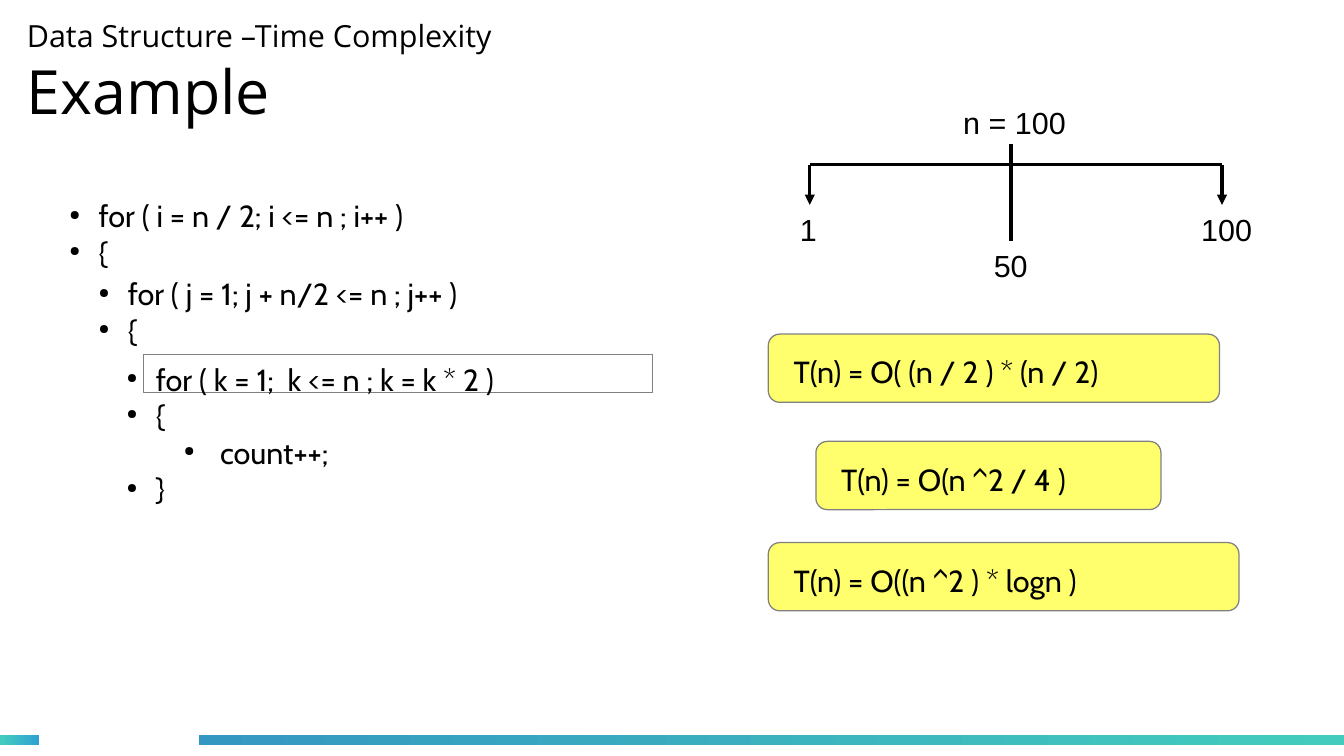
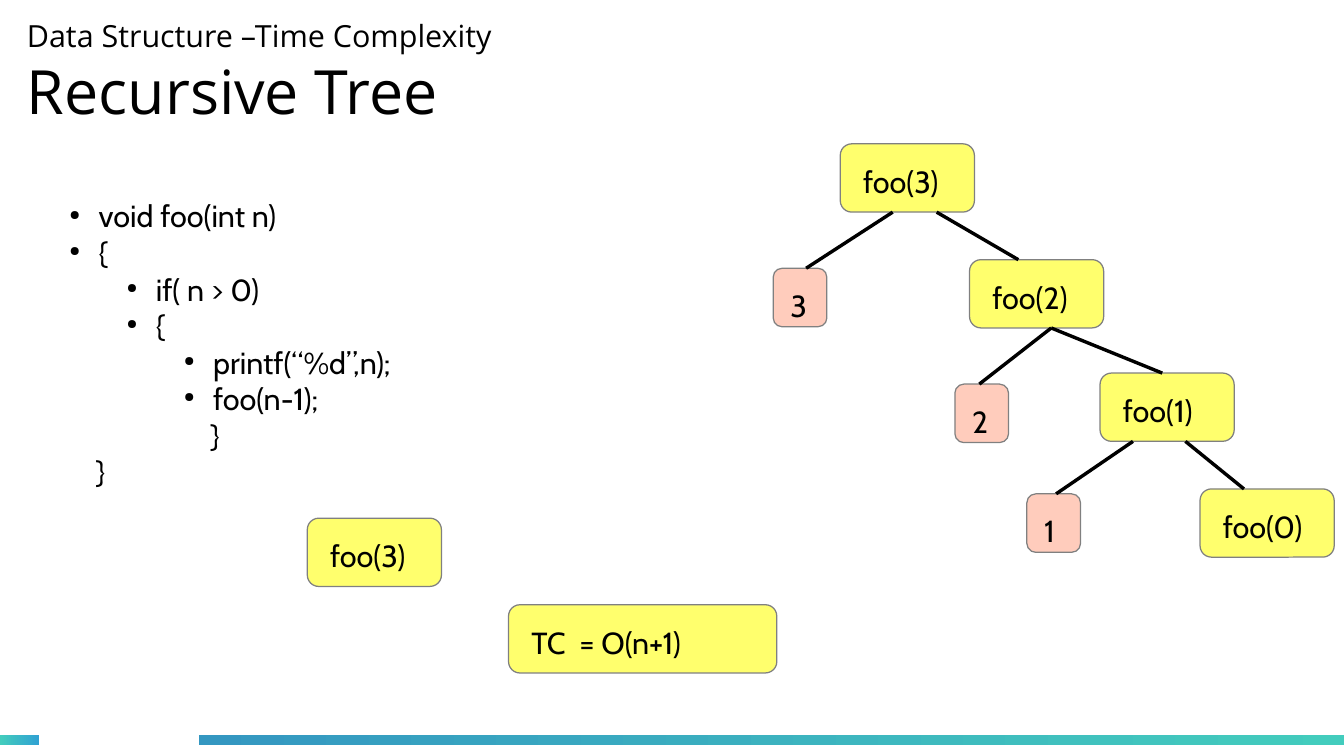
from lxml import etree
from pptx import Presentation
from pptx import util as u
from pptx.dml.color import RGBColor
from pptx.enum import shapes, text
from pptx.oxml.ns import qn

BLACK, WHITE, GREY = "000000", "FFFFFF", "808080"
YELLOW, PINK = "FFFF6D", "FFCCBC"
TEAL, SKY, BLUE = "43CCBD", "30A2D2", "3497C1"
TITLE_FONT, CODE_FONT, LABEL_FONT = "Open Sans", "Cabin", "Arial"
BOX_H = 0.56
NODE_W = 1.1
LEAF_W, LEAF_H = 0.44, 0.48
STEP = 0.24  # bullet hanging indent


def color(value):
    return RGBColor.from_string(value)


def add_el(parent, tag, **attrs):
    return etree.SubElement(parent, qn(tag), attrs)


def set_font(p, font, size=18):
    p.font.name = font
    p.font.size = u.Pt(size)
    p.font.color.rgb = color(BLACK)


def set_frame(tf, left=0.1, top=0.05, anchor=text.MSO_ANCHOR.TOP):
    tf.word_wrap = True
    tf.vertical_anchor = anchor
    tf.margin_left = u.Inches(left)
    tf.margin_top = u.Inches(top)
    tf.margin_right = tf.margin_bottom = 0


def add_frame(s, x, y, w, h):
    return s.shapes.add_textbox(*map(u.Inches, (x, y, w, h))).text_frame


def add_paragraph(tf, i, words):
    p = tf.add_paragraph() if i else tf.paragraphs[0]
    p.text = words
    return p


def add_box(s, x, y, w, h, fill, kind=shapes.MSO_SHAPE.ROUNDED_RECTANGLE):
    sp = s.shapes.add_shape(kind, *map(u.Inches, (x, y, w, h)))
    sp.shadow.inherit = False
    sp.fill.solid()
    sp.fill.fore_color.rgb = color(fill)
    sp.line.color.rgb = color(GREY)
    sp.line.width = 0
    return sp


def add_text_box(s, x, y, w, words, h=BOX_H, fill=YELLOW, left=0.16):
    tf = add_box(s, x, y, w, h, fill).text_frame
    set_frame(tf, left, 0.13)
    p = add_paragraph(tf, 0, words)
    p.alignment = text.PP_ALIGN.LEFT
    set_font(p, CODE_FONT)


def add_label(s, x, y, w, words):
    tf = add_frame(s, x, y, w, 0.38)
    set_frame(tf)
    set_font(add_paragraph(tf, 0, words), LABEL_FONT)


def add_line(s, x1, y1, x2, y2, width=0, arrow=False):
    c = s.shapes.add_connector(shapes.MSO_CONNECTOR.STRAIGHT,
                               *map(u.Inches, (x1, y1, x2, y2)))
    c.line.color.rgb = color(BLACK)
    c.line.width = u.Pt(width)
    if arrow:
        add_el(c.line._get_or_add_ln(), "a:tailEnd", type="triangle")
    add_el(c._element.spPr, "a:effectLst")


def add_code(s, x, y, w, h, lines):
    """Each line is (left indent, has bullet, words)."""
    tf = add_frame(s, x, y, w, h)
    set_frame(tf)
    for i, (indent, bullet, words) in enumerate(lines):
        p = add_paragraph(tf, i, words)
        pPr = p._p.get_or_add_pPr()
        pPr.set("marL", str(u.Inches(indent)))
        if bullet:
            pPr.set("indent", str(u.Inches(-STEP)))
            add_el(add_el(pPr, "a:buClr"), "a:srgbClr", val=BLACK)
            add_el(pPr, "a:buSzPct", val="45000")
            add_el(pPr, "a:buChar", char="●")
        set_font(p, CODE_FONT)


def add_band(s, x, w, start, end):
    sp = add_box(s, x, 6.03, w, 0.08, start, shapes.MSO_SHAPE.RECTANGLE)
    sp.line.fill.background()
    sp.fill.gradient()
    sp.fill.gradient_angle = 0
    for stop, position, value in zip(sp.fill.gradient_stops, (0, 1), (start, end)):
        stop.position = position
        stop.color.rgb = color(value)


def new_slide(prs, title):
    s = prs.slides.add_slide(prs.slide_layouts[6])
    add_band(s, 0, 0.32, TEAL, SKY)
    add_band(s, 1.63, 9.4, BLUE, TEAL)
    tf = add_frame(s, 0.22, 0.08, 7.68, 1.02)
    set_frame(tf, 0, 0, text.MSO_ANCHOR.MIDDLE)
    heading = (("Data Structure –Time Complexity", 18), (title, 36))
    for i, (words, size) in enumerate(heading):
        set_font(add_paragraph(tf, i, words), TITLE_FONT, size)
    return s


def build_example(prs):
    s = new_slide(prs, "Example")

    # Nested loops
    add_box(s, 1.18, 2.91, 4.17, 0.31, WHITE, shapes.MSO_SHAPE.RECTANGLE)
    add_code(s, 0.47, 1.57, 4.25, 0.78, [
        (STEP, True, "for ( i = n / 2; i <= n ; i++ )"),
        (STEP, True, "{")])
    add_code(s, 0.71, 2.21, 4.96, 0.78, [
        (STEP, True, "for ( j = 1; j + n/2 <= n ; j++ )"),
        (STEP, True, "{")])
    add_code(s, 0.94, 2.91, 4.49, 1.46, [
        (STEP, True, "for ( k = 1;  k <= n ; k = k * 2 )"),
        (STEP, True, "{"),
        (0.71, True, " count++;"),
        (STEP, True, "}")])

    # Range from 1 to 100, halved at 50
    left, right, middle, top = 6.64, 10.02, 8.29, 1.35
    add_line(s, left, top, right, top)
    for x in (left, right):
        add_line(s, x, top, x, 1.68, arrow=True)
    add_line(s, middle, 1.18, middle, 1.98, width=2.83)
    add_label(s, 7.8, 0.8, 1.2, "n = 100")
    add_label(s, 6.46, 1.68, 0.5, "1")
    add_label(s, 9.75, 1.68, 0.79, "100")
    add_label(s, 8.05, 1.98, 0.55, "50")

    # Complexity steps
    for x, y, w, words in (
            (6.3, 2.74, 3.7, "T(n) = O( (n / 2 ) * (n / 2)"),
            (6.69, 3.62, 2.83, "T(n) = O(n ^2 / 4 )"),
            (6.3, 4.45, 3.86, "T(n) = O((n ^2 ) * logn )")):
        add_text_box(s, x, y, w, words, left=0.18)


def build_tree(prs):
    s = new_slide(prs, "Recursive Tree")

    # Recursive function
    add_code(s, 0.47, 1.57, 3.54, 2.82, [
        (STEP, True, "void foo(int n)"),
        (STEP, True, "{"),
        (0.71, True, "if( n > 0)"),
        (0.71, True, "{"),
        (1.18, True, "printf(“%d”,n);"),
        (1.18, True, "foo(n-1);"),
        (1.16, False, "}"),
        (0.22, False, "}")])

    # Calls and printed values
    calls = [(6.89, 1.18), (7.95, 2.13), (9.02, 3.06), (9.84, 4.01)]
    leaves = [(6.34, 2.2), (7.83, 3.15), (8.42, 4.05)]
    for i, (x, y) in enumerate(calls):
        add_text_box(s, x, y, NODE_W, f"foo({3 - i})")
    for i, (x, y) in enumerate(leaves):
        add_text_box(s, x, y, LEAF_W, str(3 - i), LEAF_H, PINK, 0.12)

    # Branches: x at the call and at the child, for the leaf and the next call
    branches = [((7.32, 6.61), (7.68, 8.35)),
                ((8.62, 8.03), (8.62, 9.53)),
                ((9.29, 8.66), (9.72, 10.2))]
    for call, leaf, child, pair in zip(calls, leaves, calls[1:], branches):
        for (x1, x2), (_, y2) in zip(pair, (leaf, child)):
            add_line(s, x1, call[1] + BOX_H, x2, y2)

    # First call and result
    add_text_box(s, 2.52, 4.25, NODE_W, "foo(3)")
    add_text_box(s, 4.17, 4.96, 2 * NODE_W, "TC  = O(n+1)")


def main():
    prs = Presentation()
    prs.slide_width, prs.slide_height = u.Inches(11.02), u.Inches(6.2)
    build_example(prs)
    build_tree(prs)
    prs.save("out.pptx")


if __name__ == "__main__":
    main()
